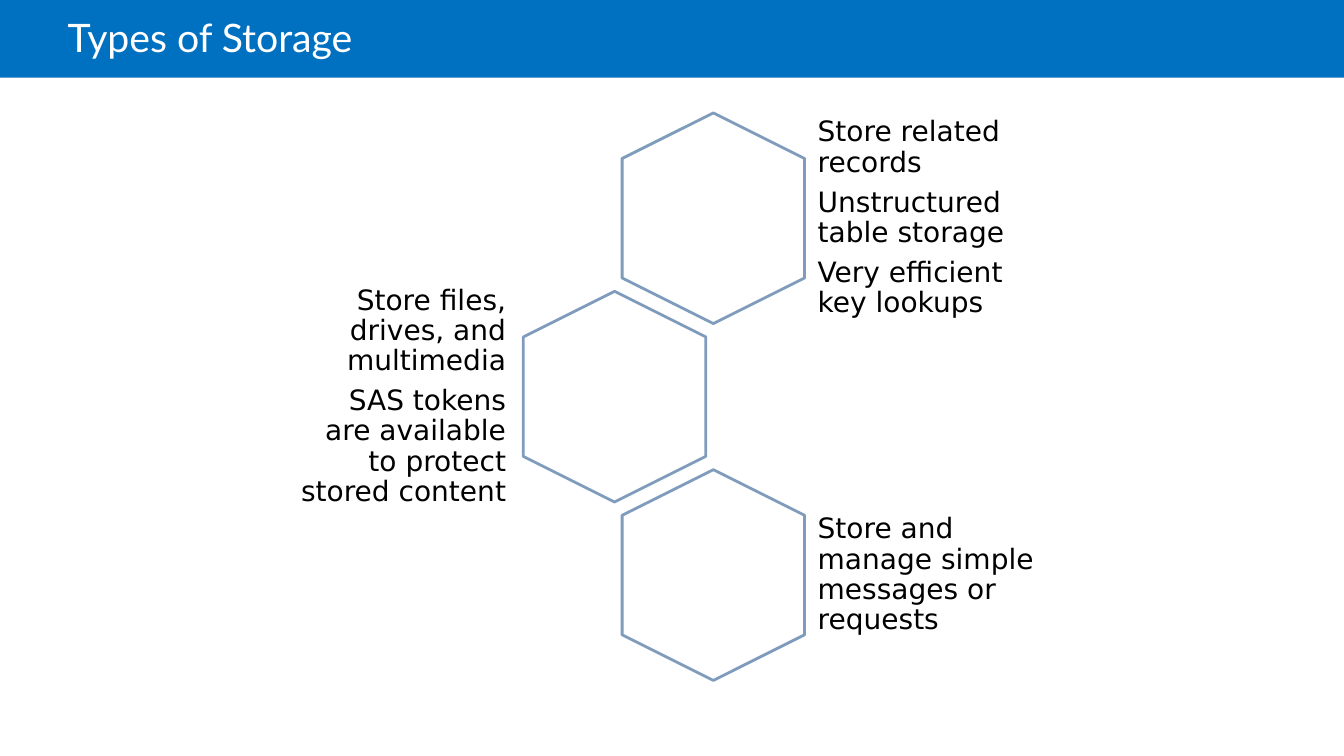
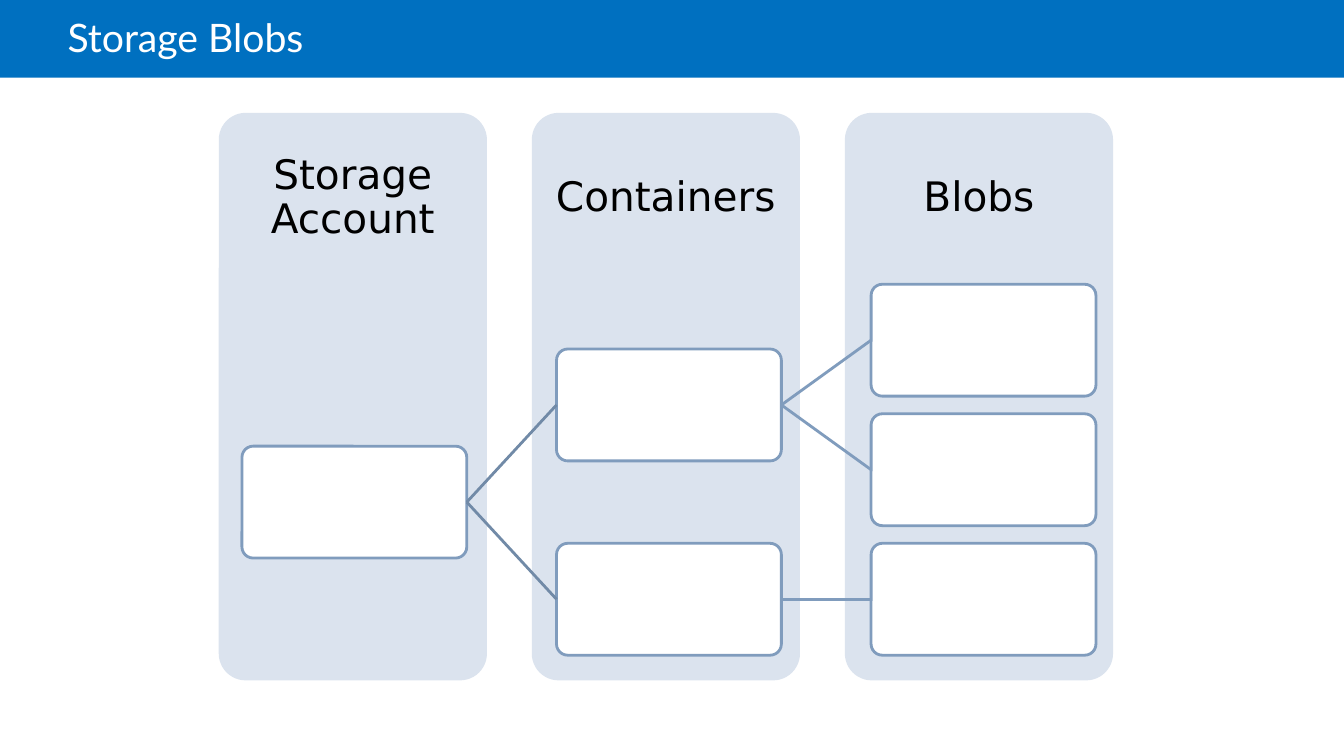
from pptx import Presentation
from pptx.dml.color import RGBColor
from pptx.enum.shapes import MSO_CONNECTOR as Connector, MSO_SHAPE as Shape
from pptx.enum.text import MSO_ANCHOR as Anchor, MSO_AUTO_SIZE as AutoSize, PP_ALIGN as Align
from pptx.oxml.ns import qn
from pptx.util import Inches, Pt
from lxml import etree

BLUE, WHITE, BLACK = "0070C0", "FFFFFF", "000000"
OUTLINE, DARK_OUTLINE, PANEL = "809CBD", "718AA7", "DBE3EE"
TITLE_FONT, BODY_FONT = "Lato", "DejaVu Sans"
PAGE_WIDTH, PAGE_HEIGHT = 13.33, 7.5
CONTENT_TOP, CONTENT_HEIGHT = 1.12, 5.63

STORAGE_TYPES = [
    ("right", ["Store related records", "Unstructured table storage",
               "Very efficient key lookups"]),
    ("left", ["Store files, drives, and multimedia",
              "SAS tokens are available to protect stored content"]),
    ("right", ["Store and manage simple messages or requests"]),
]
LEVELS = ["Storage Account", "Containers", "Blobs"]


def color(value):
    return RGBColor.from_string(value)


def add_shape(page, kind, box, fill, line=None, adjustments=()):
    shape = page.shapes.add_shape(kind, *map(Inches, box))
    shape.shadow.inherit = False
    shape.fill.solid()
    shape.fill.fore_color.rgb = color(fill)
    if line:
        shape.line.color.rgb = color(line)
        shape.line.width = Pt(2)
    else:
        shape.line.fill.background()
    for index, value in enumerate(adjustments):
        shape.adjustments[index] = value
    return shape


def format_frame(frame, insets):
    frame.word_wrap = True
    frame.auto_size = AutoSize.NONE
    frame.vertical_anchor = Anchor.MIDDLE
    (frame.margin_left, frame.margin_top,
     frame.margin_right, frame.margin_bottom) = map(Inches, insets)


def write(para, text, font, size, ink, align, spacing):
    para.alignment = align
    para.line_spacing = spacing
    span = para.add_run()
    span.text = text
    span.font.name = font
    span.font.size = Pt(size)
    span.font.color.rgb = color(ink)


def add_text(page, box, lines, size, inset, align):
    frame = page.shapes.add_textbox(*map(Inches, box)).text_frame
    format_frame(frame, [inset] * 4)
    for index, line in enumerate(lines):
        para = frame.add_paragraph() if index else frame.paragraphs[0]
        write(para, line, BODY_FONT, size, BLACK, align, 0.9)
        para.space_after = Pt(0.35 * size)


def add_link(page, parent, child, ink):
    link = page.shapes.add_connector(Connector.STRAIGHT, 0, 0, 0, 0)
    link.begin_connect(parent, 3)
    link.end_connect(child, 1)
    link.line.color.rgb = color(ink)
    link.line.width = Pt(2)
    etree.SubElement(link._element.spPr, qn("a:effectLst"))


def add_page(deck, title):
    page = deck.slides.add_slide(deck.slide_layouts[5])
    holder = page.shapes.title
    holder.left, holder.top, holder.width, holder.height = map(
        Inches, (0.67, 0, 11.34, 0.81))
    format_frame(holder.text_frame, (0, 0.05, 0.1, 0.05))
    write(holder.text_frame.paragraphs[0], title, TITLE_FONT, 28, WHITE, Align.LEFT, 0.85)
    return page


def add_layout_band(deck, page):
    """Move a band into the layout, behind every title."""
    band = add_shape(page, Shape.RECTANGLE, (0, 0, PAGE_WIDTH, 0.77), BLUE)
    page.slide_layout.shapes._spTree.insert(2, band._element)


def add_honeycomb(page, box):
    left, top, width, height = box
    long_side, short_side, text_height = 2.09, 1.81, 1.25
    pitch = (height - long_side) / (len(STORAGE_TYPES) - 1)
    for row, (side, lines) in enumerate(STORAGE_TYPES):
        on_right = side == "right"
        middle = top + long_side / 2 + row * pitch
        # Upright hexagon, turned about its own centre
        hexagon_left = left + (3.18 if on_right else 2.2)
        hexagon = add_shape(page, Shape.HEXAGON,
                            (hexagon_left, middle - short_side / 2, long_side, short_side),
                            WHITE, OUTLINE, (0.25, 1.155))
        hexagon.rotation = 90
        # Description on the outer side
        text_width = 2.33 if on_right else 2.25
        text_left = left + width - text_width if on_right else left
        add_text(page, (text_left, middle - text_height / 2, text_width, text_height),
                 lines, 20, 0.08, Align.RIGHT if side == "left" else Align.LEFT)


def add_hierarchy(page, box):
    left, top, width, height = box
    panel_width = 2.66
    pitch = (width - panel_width) / (len(LEVELS) - 1)
    # Panels with headings
    for column, heading in enumerate(LEVELS):
        panel_left = left + column * pitch
        add_shape(page, Shape.ROUNDED_RECTANGLE, (panel_left, top, panel_width, height),
                  PANEL, adjustments=[0.1])
        add_text(page, (panel_left, top, panel_width, 0.3 * height),
                 [heading], 29, 0.23, Align.CENTER)

    # Each parent is centred on its children
    def add_node(column, node_top):
        return add_shape(page, Shape.ROUNDED_RECTANGLE,
                         (left + 0.23 + column * 3.12, node_top, 2.23, 1.11),
                         WHITE, OUTLINE, [0.1])

    first, last = top + 1.7, top + 4.27
    blob_tops = [first, (first + last) / 2, last]
    container_tops = [sum(blob_tops[:2]) / 2, last]
    account = add_node(0, sum(container_tops) / 2)
    containers = [add_node(1, node_top) for node_top in container_tops]
    blobs = [add_node(2, node_top) for node_top in blob_tops]
    for container in containers:
        add_link(page, account, container, DARK_OUTLINE)
    for parent, blob in zip((0, 0, 1), blobs):
        add_link(page, containers[parent], blob, OUTLINE)


def main():
    deck = Presentation()
    deck.slide_width, deck.slide_height = Inches(PAGE_WIDTH), Inches(PAGE_HEIGHT)

    types_page = add_page(deck, "Types of Storage")
    add_layout_band(deck, types_page)
    add_honeycomb(types_page, (2.85, CONTENT_TOP, 7.51, CONTENT_HEIGHT))

    blobs_page = add_page(deck, "Storage Blobs")
    add_hierarchy(blobs_page, (2.17, CONTENT_TOP, 8.87, CONTENT_HEIGHT))

    deck.save("out.pptx")


if __name__ == "__main__":
    main()
